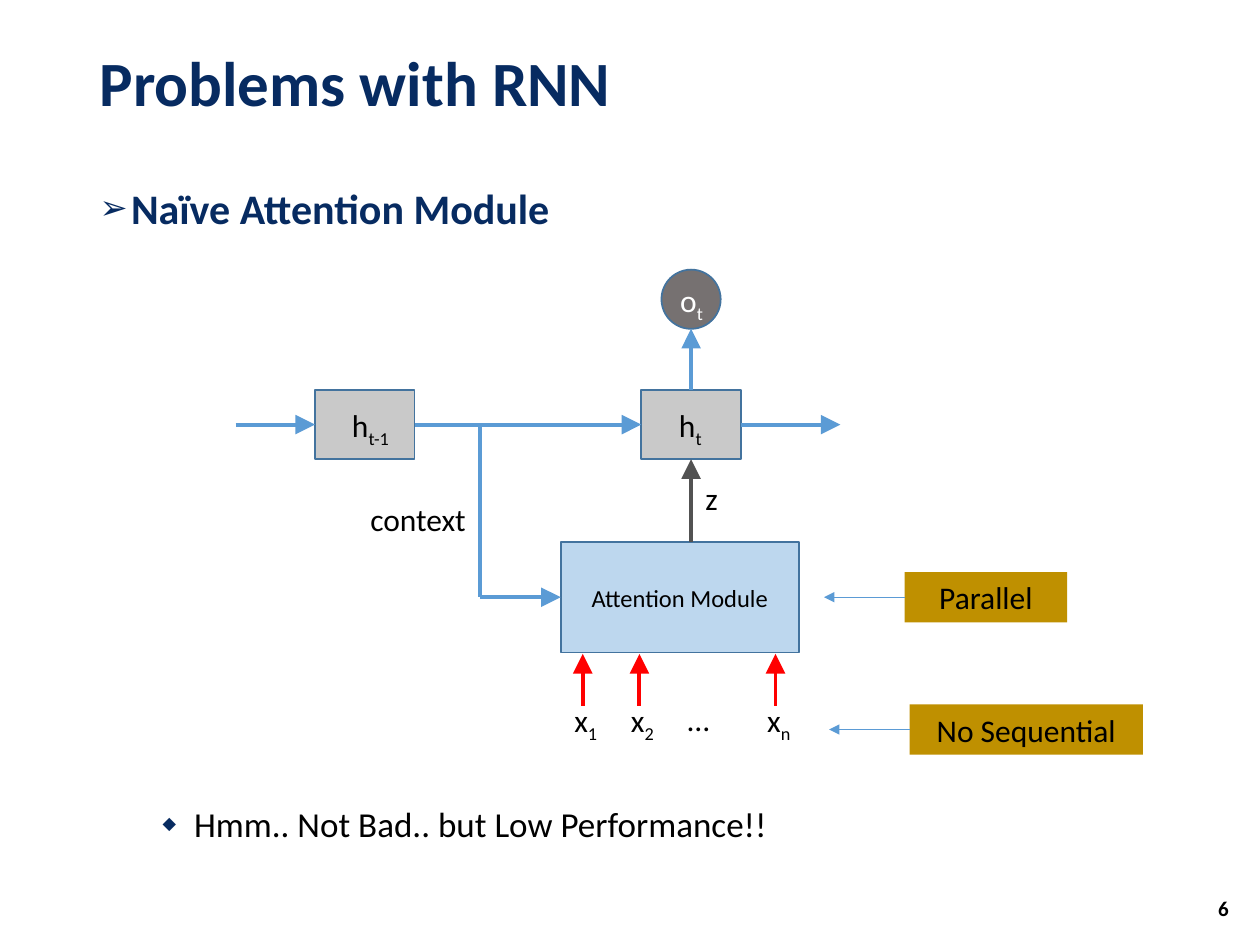
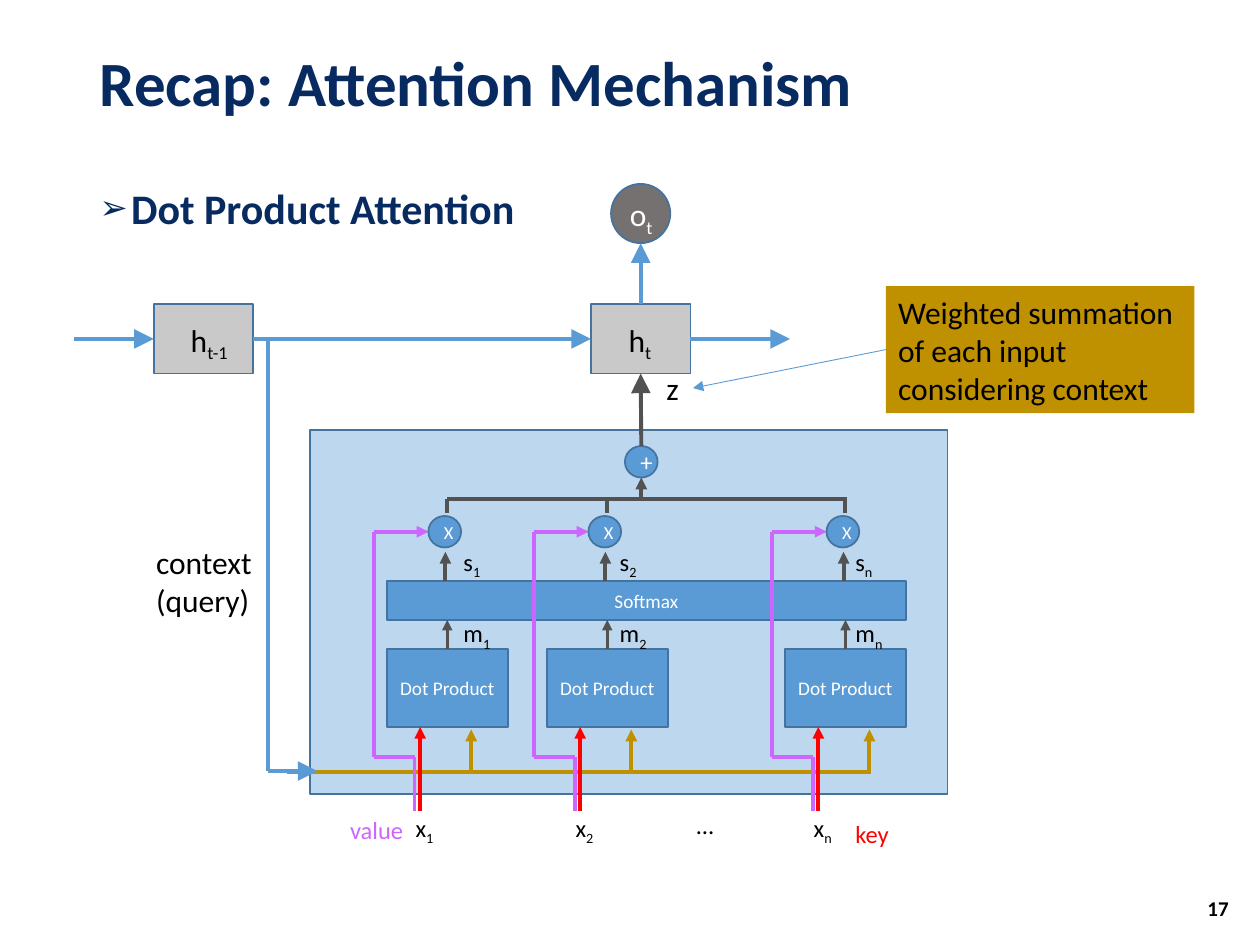
from lxml.etree import SubElement
from pptx import Presentation
from pptx.dml.color import RGBColor
from pptx.enum.shapes import MSO_CONNECTOR as WIRE, MSO_SHAPE as FORM
from pptx.enum.text import MSO_ANCHOR as ANCHOR, MSO_AUTO_SIZE as FIT, PP_ALIGN as ALIGN
from pptx.oxml.ns import qn
from pptx.util import Inches, Pt

NAVY, BLACK, WHITE = "072B61", "000000", "FFFFFF"
BLUE, EDGE, PALE = "5B9BD5", "43739E", "BDD7EE"
SILVER, STONE, GRAPHITE = "C9C9C9", "767171", "525252"
GOLD, RED, VIOLET = "BF9000", "FF0000", "CC66FF"


def paint(code):
    return RGBColor.from_string(code)


class Board:
    """Draws styled elements on the current page, on a grid of 100 columns by 75 rows."""

    def __init__(self):
        self.deck = Presentation()
        self.deck.slide_width, self.deck.slide_height = self.grid(100, 75)
        self.page = None

    def grid(self, *cells):
        return [Inches(cell / 10) for cell in cells]

    def place(self, box, *cells):
        box.left, box.top, box.width, box.height = self.grid(*cells)

    def add_text(self, para, text, size, color, bold=False):
        main, _, index = text.partition("_")
        for part, baseline in ((main, None), (index, "-25000")):
            if part:
                span = para.add_run()
                span.text = part
                span.font.name, span.font.size, span.font.bold = "Calibri", Pt(size), bold
                span.font.color.rgb = paint(color)
                if baseline:
                    span.font._element.set("baseline", baseline)

    def new_page(self, title, number):
        self.page = self.deck.slides.add_slide(self.deck.slide_layouts[1])
        box = self.page.shapes.title
        self.place(box, 6.9, 1.8, 86.2, 10.1)
        box.text_frame.vertical_anchor = ANCHOR.MIDDLE
        para = box.text_frame.paragraphs[0]
        para.alignment, para.line_spacing = ALIGN.LEFT, 0.9
        self.add_text(para, title, 36, NAVY, True)
        self.label(number, 93.3, 70.1, 5.2, 12, bold=True, align=ALIGN.RIGHT)

    def outline(self, heading, remark=None):
        box = self.page.placeholders[1]
        self.place(box, 6.9, 14.4, 86.2, 54.4)
        frame = box.text_frame
        frame.auto_size = FIT.NONE
        para = frame.paragraphs[0]
        self.add_text(para, heading, 24, NAVY, True)
        self.bullet(para, "➢", 80, 0.25, 10)
        if remark:
            para = frame.add_paragraph()
            para.level = 1
            self.add_text(para, remark, 20, BLACK)
            self.bullet(para, "◆", 50, 0.75, 328)

    def bullet(self, para, mark, percent, margin, gap):
        para.line_spacing, para.space_before = 0.9, Pt(gap)
        props = para._p.get_or_add_pPr()
        props.set("marL", str(Inches(margin)))
        props.set("indent", str(Inches(-0.25)))
        SubElement(SubElement(props, qn("a:buClr")), qn("a:srgbClr"), val=NAVY)
        SubElement(props, qn("a:buSzPct"), val=str(percent * 1000))
        SubElement(props, qn("a:buFont"), typeface="Calibri")
        SubElement(props, qn("a:buChar"), char=mark)

    def label(self, text, col, row, wide, size=18, color=BLACK, bold=False, align=ALIGN.LEFT):
        tall = 4 if size != 14 else 3.4
        box = self.page.shapes.add_textbox(*self.grid(col, row, wide, tall))
        frame = box.text_frame
        frame.word_wrap = bold
        frame.auto_size = FIT.NONE if bold else FIT.SHAPE_TO_FIT_TEXT
        frame.vertical_anchor = ANCHOR.MIDDLE if bold else ANCHOR.TOP
        frame.paragraphs[0].alignment = align
        self.add_text(frame.paragraphs[0], text, size, color, bold)

    def block(self, form, cells, fill, lines=(), size=11, color=WHITE, edge=EDGE,
              align=ALIGN.CENTER):
        box = self.page.shapes.add_shape(form, *self.grid(*cells))
        box.shadow.inherit = False
        box.fill.solid()
        box.fill.fore_color.rgb = paint(fill)
        if edge:
            box.line.color.rgb, box.line.width = paint(edge), Pt(1)
        else:
            box.line.fill.background()
        frame = box.text_frame
        frame.vertical_anchor = ANCHOR.MIDDLE
        for number, line in enumerate(lines):
            para = frame.add_paragraph() if number else frame.paragraphs[0]
            para.alignment = align
            self.add_text(para, line, size, color)
        return box

    def note(self, cells, *lines, align=ALIGN.CENTER):
        return self.block(FORM.RECTANGLE, cells, GOLD, lines, 18, BLACK, None, align)

    def link(self, begin, end, color=BLUE, head="lg", width=2.25):
        joins = [hasattr(spot[0], "shape_id") for spot in (begin, end)]
        spots = [(0, 0) if joined else spot for joined, spot in zip(joins, (begin, end))]
        wire = self.page.shapes.add_connector(
            WIRE.STRAIGHT, *self.grid(*spots[0], *spots[1]))
        if joins[0]:
            wire.begin_connect(*begin)
        if joins[1]:
            wire.end_connect(*end)
        wire.line.color.rgb, wire.line.width = paint(color), Pt(width)
        props = wire._element.spPr
        if head:
            SubElement(props.find(qn("a:ln")), qn("a:tailEnd"), type="triangle", w=head, len=head)
        SubElement(props, qn("a:effectLst"))

    def route(self, spots, color=BLUE, head="lg"):
        last = len(spots) - 2
        for step, (begin, end) in enumerate(zip(spots, spots[1:])):
            self.link(begin, end, color, head if step == last else None)

    def recurrent_cells(self, before_col, cell_col, row):
        before, cell = [self.block(FORM.RECTANGLE, (col, row, 7.9, 5.5), SILVER)
                        for col in (before_col, cell_col)]
        self.block(FORM.OVAL, (cell_col + 1.6, row - 9.55, 4.7, 4.7), STONE)
        self.label("o_t", cell_col + 2.1, row - 9.15, 4, color=WHITE)
        self.label("h_t-1", before_col + 1.95, row + 0.8, 5.2)
        self.label("h_t", cell_col + 2, row + 0.8, 3.8)
        middle = row + 2.75
        self.link((before_col - 6.3, middle), (before, 1))
        self.link((before, 3), (cell, 1))
        self.link((cell, 3), (cell_col + 15.8, middle))
        self.link((cell, 0), (cell_col + 3.95, row - 4.85))
        return cell


def naive_page(board):
    board.new_page("Problems with RNN", "6")
    board.outline("Naïve Attention Module", "Hmm.. Not Bad.. but Low Performance!!")
    cell = board.recurrent_cells(25, 50.9, 30.95)
    module = board.block(FORM.RECTANGLE, (44.5, 43, 18.9, 8.8), PALE,
                         ["Attention Module"], 14, BLACK)
    board.link((54.85, 43), (cell, 2), GRAPHITE)
    board.label("z", 55, 37.5, 3.1)
    board.label("context", 28.4, 39.2, 9.9)
    board.route([(38.1, 33.7), (38.1, 47.4), (module, 1)])
    for index, col in (("1", 44.6), ("2", 49.1), ("n", 59.9)):
        board.label(f"x_{index}", col, 55.15, 4)
        board.link((col + 1.65, 56), (col + 1.65, 51.9), RED)
    board.label("…", 53.6, 55.1, 4.5)
    for text, col, row, wide in (("Parallel", 71.8, 45.4, 12.9),
                                 ("No Sequential", 72.2, 55.9, 18.5)):
        box = board.note((col, row, wide, 4), text)
        board.link((box, 1), (col - 6.4, row + 2), head="med", width=0.5)


def dot_product_page(board):
    board.new_page("Recap: Attention Mechanism", "17")
    board.outline("Dot Product Attention")
    remark = board.note((70.3, 22.7, 24.5, 10.1), "Weighted summation",
                        "of each input", "considering context", align=ALIGN.LEFT)
    board.link((remark, 1), (55, 30.8), head="med", width=0.5)
    board.block(FORM.RECTANGLE, (24.6, 34.1, 50.6, 28.9), PALE)
    board.link((22.8, 61.3), (69.1, 61.3), GOLD, None)
    board.block(FORM.RECTANGLE, (30.7, 46.1, 41.2, 3.1), BLUE, ["Softmax"])
    board.link((35.5, 39.6), (67.2, 39.6), GRAPHITE, None)
    for index, left, label_col in (("1", 30.7, 35.8), ("2", 43.4, 48.2), ("n", 62.3, 66.9)):
        product = board.block(FORM.RECTANGLE, (left, 51.5, 9.6, 6.2), BLUE, ["Dot Product"])
        board.link((left + 6.7, 61.3), (left + 6.7, 57.9), GOLD, "med")
        board.link((product, 0), (left + 4.8, 49.2), GRAPHITE, "med", 1.5)
        board.link((left + 4.65, 46.1), (left + 4.65, 43.8), GRAPHITE, "med")
        board.link((left + 4.75, 40.7), (left + 4.75, 39.6), GRAPHITE, None)
        board.label(f"m_{index}", label_col, 48.6, 4.2, 14)
        board.label(f"s_{index}", label_col, 42.95, 3.4, 14)
        board.label(f"x_{index}", left + 1.3, 64, 3.6, 14)
        board.route([(left + 2.2, 64.4), (left + 2.2, 60.1), (left - 1.05, 60.1),
                     (left - 1.05, 42.2), (left + 3.3, 42.2)], VIOLET, "med")
        board.link((left + 2.65, 64.4), (left + 2.65, 57.7), RED, "med")
        board.block(FORM.OVAL, (left + 3.3, 40.95, 2.6, 2.5), BLUE, ["X"], 10.5)
    board.label("…", 54.3, 63.8, 4, 14)
    board.label("value", 26.8, 64.2, 6.3, 14, VIOLET)
    board.label("key", 66.9, 64.5, 4.7, 14, RED)
    board.block(FORM.OVAL, (49.6, 35.4, 2.6, 2.5), BLUE, ["+"], 14)
    board.link((50.9, 39.6), (50.9, 37.9), GRAPHITE, "med")
    cell = board.recurrent_cells(12.2, 46.9, 24.15)
    board.link((50.9, 35.4), (cell, 2), GRAPHITE)
    board.label("z", 51.9, 28.8, 3.1)
    board.label("context", 11.4, 42.6, 9.9)
    board.label("(query)", 11.4, 45.6, 9.5)
    board.route([(21.3, 27), (21.3, 61.2), (25.2, 61.2)])


def main():
    board = Board()
    naive_page(board)
    dot_product_page(board)
    board.deck.save("out.pptx")


if __name__ == "__main__":
    main()
